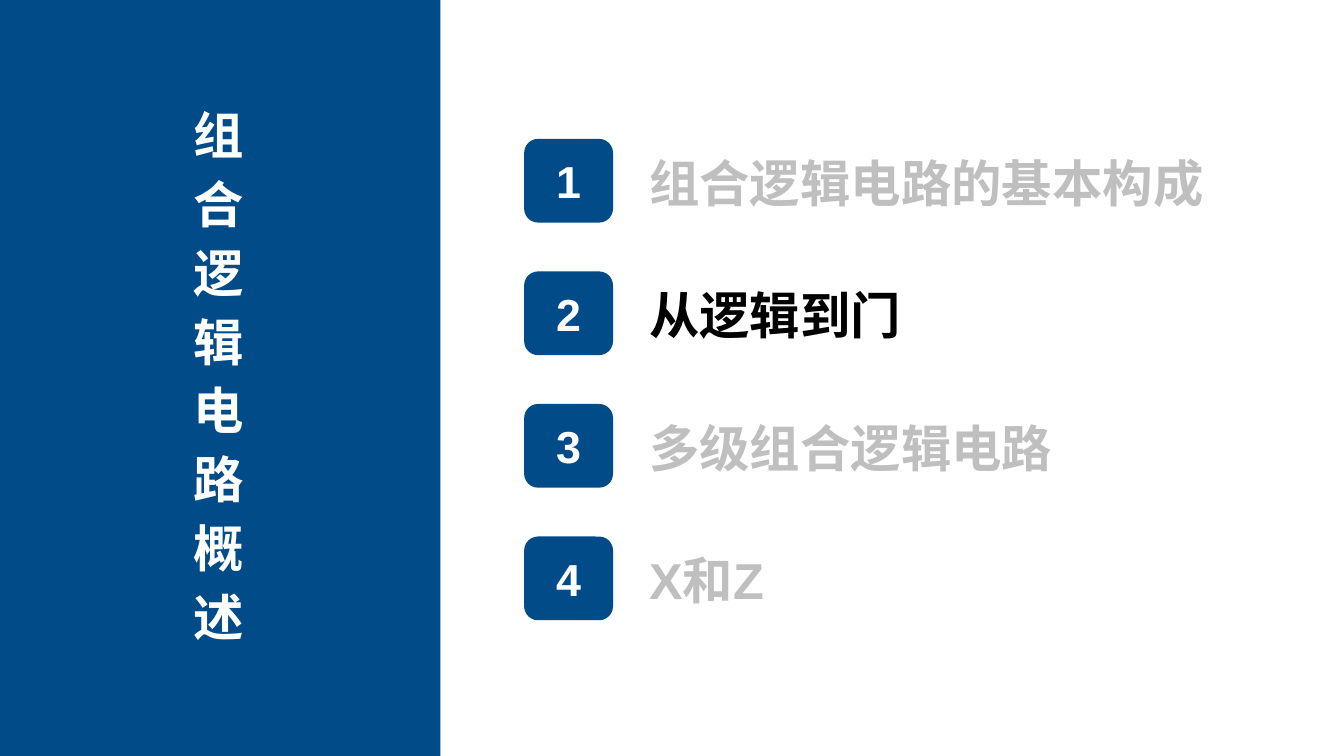
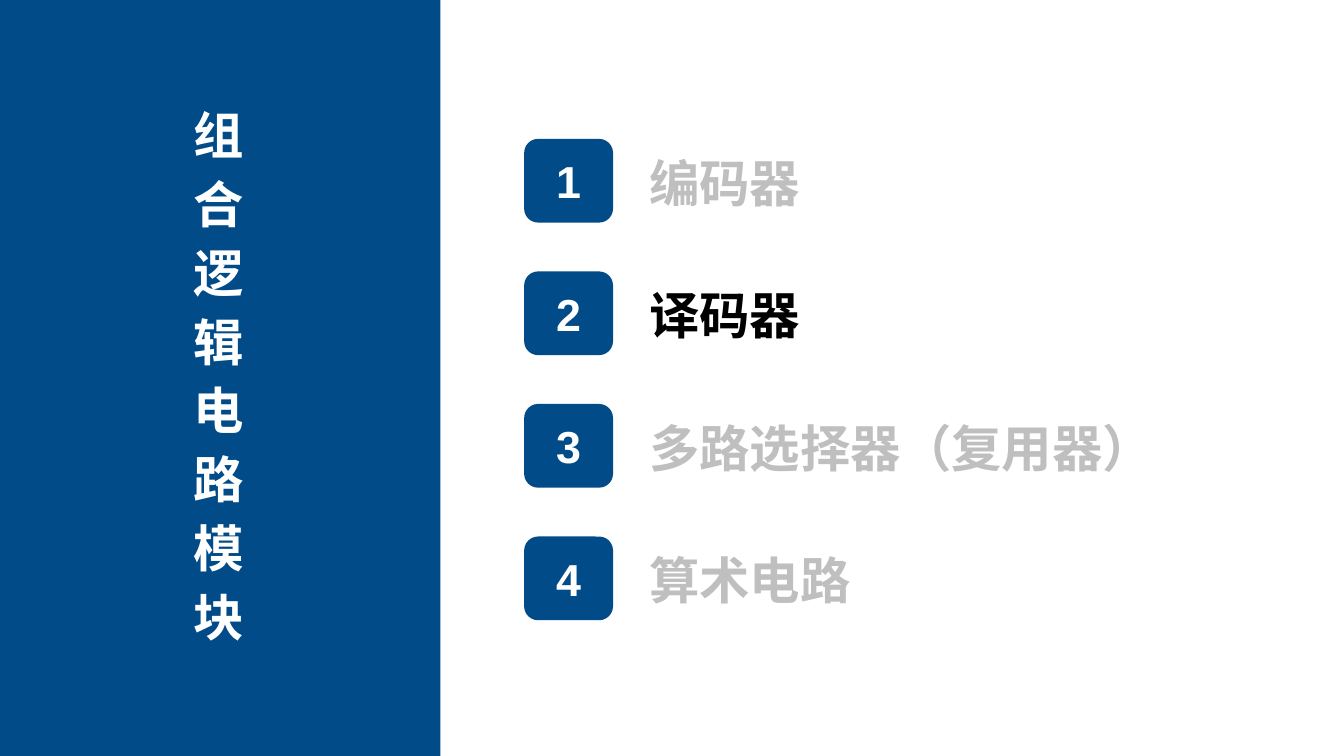
from dataclasses import dataclass

from pptx import Presentation
from pptx.dml.color import RGBColor
from pptx.enum.shapes import MSO_SHAPE
from pptx.enum.text import MSO_ANCHOR, MSO_AUTO_SIZE, PP_ALIGN
from pptx.shapes.autoshape import Shape
from pptx.shapes.group import GroupShape
from pptx.slide import Slide
from pptx.text.text import TextFrame, _Paragraph as Paragraph
from pptx.util import Cm, Length, Pt


@dataclass(frozen=True)
class Theme:
    font: str = "Arial"
    brand: RGBColor = RGBColor(0x01, 0x4B, 0x88)
    light: RGBColor = RGBColor(0xFF, 0xFF, 0xFF)
    active: RGBColor = RGBColor(0x00, 0x00, 0x00)
    inactive: RGBColor = RGBColor(0xBF, 0xBF, 0xBF)
    heading_size: Length = Pt(36)
    number_size: Length = Pt(32)
    heading_gap: Length = Pt(6)


@dataclass(frozen=True)
class Agenda:
    title: str
    topics: tuple[str, ...]
    current: int


THEME = Theme()
SLIDE_WIDTH, SLIDE_HEIGHT = Cm(33.87), Cm(19.05)
BAND_WIDTH = Cm(11.1)
BADGE_LEFT, BADGE_WIDTH, BADGE_HEIGHT = Cm(13.21), Cm(2.24), Cm(2.11)
FIRST_ROW_TOP, ROW_PITCH = Cm(3.5), Cm(3.34)
LABEL_LEFT, LABEL_OFFSET = Cm(16.36), Cm(0.31)
LABEL_HEIGHT = Cm(1.55)
LABEL_WIDTHS = (Cm(14.12), Cm(11.99), Cm(13.18), Cm(13.18))

AGENDAS = (
    Agenda(
        "组合逻辑电路概述",
        ("组合逻辑电路的基本构成", "从逻辑到门", "多级组合逻辑电路", "X和Z"),
        2,
    ),
    Agenda(
        "组合逻辑电路模块",
        ("编码器", "译码器", "多路选择器（复用器）", "算术电路"),
        2,
    ),
)


def add_run(paragraph: Paragraph, text: str, size: Length, color: RGBColor) -> None:
    run = paragraph.add_run()
    run.text = text
    run.font.name = THEME.font
    run.font.size = size
    run.font.bold = True
    run.font.color.rgb = color


def format_frame(frame: TextFrame, anchor: MSO_ANCHOR) -> None:
    frame.margin_left = frame.margin_right = Cm(0)
    frame.margin_top = frame.margin_bottom = Cm(0)
    frame.word_wrap = True
    frame.auto_size = MSO_AUTO_SIZE.SHAPE_TO_FIT_TEXT
    frame.vertical_anchor = anchor


def paint(shape: Shape) -> None:
    shape.shadow.inherit = False
    shape.fill.solid()
    shape.fill.fore_color.rgb = THEME.brand
    shape.line.fill.background()


def add_title(slide: Slide, text: str) -> None:
    title = slide.shapes.title
    title.left, title.top = Cm(2.87), Cm(2.62)
    title.width, title.height = Cm(5.28), Cm(13.82)
    frame = title.text_frame
    format_frame(frame, MSO_ANCHOR.TOP)
    for index, character in enumerate(text):
        paragraph = frame.add_paragraph() if index else frame.paragraphs[0]
        paragraph.alignment = PP_ALIGN.CENTER
        paragraph.space_after = THEME.heading_gap
        add_run(paragraph, character, THEME.heading_size, THEME.light)


def add_band(slide: Slide) -> None:
    band = slide.shapes.add_shape(MSO_SHAPE.RECTANGLE, 0, 0, BAND_WIDTH, SLIDE_HEIGHT)
    paint(band)
    slide.shapes.title.element.addprevious(band.element)


def add_badge(group: GroupShape, number: int, top: Length) -> None:
    badge = group.shapes.add_shape(
        MSO_SHAPE.ROUNDED_RECTANGLE, BADGE_LEFT, top, BADGE_WIDTH, BADGE_HEIGHT
    )
    paint(badge)
    frame = badge.text_frame
    frame.margin_left = frame.margin_right = Cm(0.2)
    frame.margin_top = frame.margin_bottom = Cm(0.13)
    frame.vertical_anchor = MSO_ANCHOR.MIDDLE
    paragraph = frame.paragraphs[0]
    paragraph.alignment = PP_ALIGN.CENTER
    add_run(paragraph, str(number), THEME.number_size, THEME.light)


def add_label(
    group: GroupShape, text: str, top: Length, width: Length, color: RGBColor
) -> None:
    label = group.shapes.add_textbox(LABEL_LEFT, top, width, LABEL_HEIGHT)
    format_frame(label.text_frame, MSO_ANCHOR.MIDDLE)
    add_run(label.text_frame.paragraphs[0], text, THEME.heading_size, color)


def add_agenda(slide: Slide, agenda: Agenda) -> None:
    add_title(slide, agenda.title)
    add_band(slide)
    for index, (topic, width) in enumerate(zip(agenda.topics, LABEL_WIDTHS)):
        number = index + 1
        top = FIRST_ROW_TOP + index * ROW_PITCH
        color = THEME.active if number == agenda.current else THEME.inactive
        group = slide.shapes.add_group_shape()
        add_badge(group, number, top)
        add_label(group, topic, top + LABEL_OFFSET, width, color)


def main() -> None:
    presentation = Presentation()
    presentation.slide_width = SLIDE_WIDTH
    presentation.slide_height = SLIDE_HEIGHT
    title_only = presentation.slide_layouts.get_by_name("Title Only")
    for agenda in AGENDAS:
        add_agenda(presentation.slides.add_slide(title_only), agenda)
    presentation.save("out.pptx")


if __name__ == "__main__":
    main()
